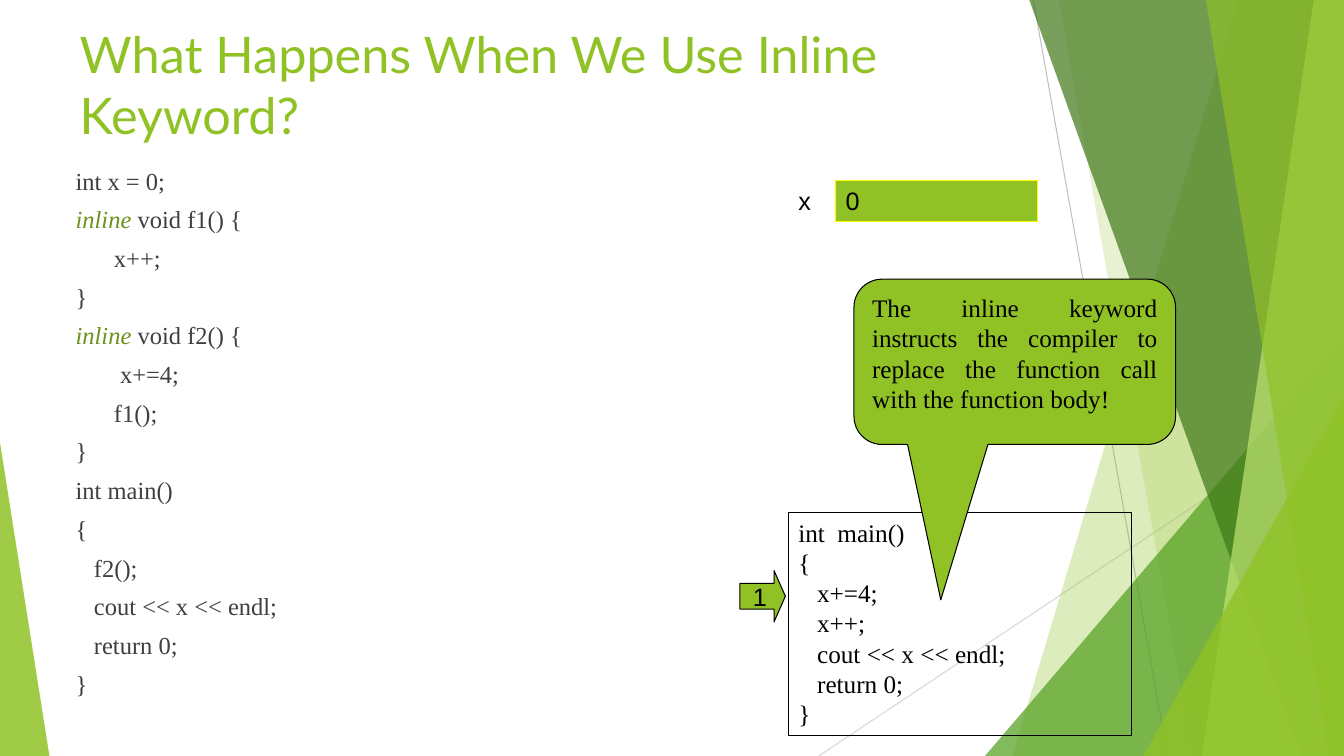
from pptx import Presentation
from pptx.dml.color import RGBColor
from pptx.enum.shapes import MSO_CONNECTOR, MSO_SHAPE
from pptx.enum.text import MSO_ANCHOR, MSO_AUTO_SIZE, PP_ALIGN
from pptx.oxml.ns import qn
from pptx.util import Inches, Pt
from lxml import etree

LEFT, MID, JUST = PP_ALIGN.LEFT, PP_ALIGN.CENTER, PP_ALIGN.JUSTIFY
TOP, CENTER = MSO_ANCHOR.TOP, MSO_ANCHOR.MIDDLE
FIXED = MSO_AUTO_SIZE.NONE
RECT, ARROW = MSO_SHAPE.RECTANGLE, MSO_SHAPE.RIGHT_ARROW
WEDGE = MSO_SHAPE.ROUNDED_RECTANGULAR_CALLOUT
SPIKE = MSO_SHAPE.ISOSCELES_TRIANGLE
STRAIGHT = MSO_CONNECTOR.STRAIGHT

LIME = RGBColor(0x90, 0xC2, 0x26)
LEAF = RGBColor(0x54, 0xA0, 0x21)
MOSS = RGBColor(0x3F, 0x78, 0x18)
PALE = RGBColor(0xBF, 0xE4, 0x71)
OLIVE = RGBColor(0x6C, 0x91, 0x1C)
YELLOW = RGBColor(0xFF, 0xFF, 0x00)
BLACK = RGBColor(0x00, 0x00, 0x00)
GRAY = RGBColor(0x3F, 0x3F, 0x3F)
SILVER = RGBColor(0xBF, 0xBF, 0xBF)
MIST = RGBColor(0xD8, 0xD8, 0xD8)

SANS, SERIF, HEAD = "Arial", "Times New Roman", "Lato"

RAYS = [(76.89, 0, 86.87, 100, SILVER), (100, 53.73, 60.92, 100, MIST)]
BACK = [(92.12, 75.32, LIME, 30), (78.77, 88.75, LIME, 20)]
FRONT = [(76.59, 96.85, MOSS, 70), (97.75, 89.42, PALE, 70),
         (89.72, 98.87, LIME, 65)]

SOURCE = ["int x = 0;", "inline void f1() {", "\tx++;", "}",
          "inline void f2() {", "\t x+=4;", "\tf1();", "}",
          "int main()", "{", "   f2();", "   cout << x << endl;",
          "   return 0;", "}"]
RESULT = ["int  main()", "{", "   x+=4;", "   x++;",
          "   cout << x << endl;", "   return 0;", "}"]
ADVICE = ("The inline keyword instructs the compiler to replace "
          "the function call with the function body!")


class Deck:
    """Draws styled elements on a grid of 100 columns by 100 rows."""

    def __init__(self):
        self.show = Presentation()
        self.show.slide_width = Inches(13.33)
        self.show.slide_height = Inches(7.5)
        self.col = self.show.slide_width / 100
        self.row = self.show.slide_height / 100
        self.page = self.show.slides.add_slide(self.show.slide_layouts[1])
        self.shapes = self.page.shapes

    def grid(self, *spots):
        return [round(spot * (self.row if i % 2 else self.col))
                for i, spot in enumerate(spots)]

    def paint(self, shape, fill=None, line=None, alpha=100):
        shape.shadow.inherit = False
        if fill is None:
            shape.fill.background()
        else:
            shape.fill.solid()
            shape.fill.fore_color.rgb = fill
        if alpha < 100:
            tint = shape._element.spPr.find(".//" + qn("a:srgbClr"))
            etree.SubElement(tint, qn("a:alpha"), val=str(alpha * 1000))
        if line is None:
            shape.line.fill.background()
        else:
            shape.line.color.rgb = line
            shape.line.width = Pt(0.75)

    def ray(self, x1, y1, x2, y2, color):
        ray = self.shapes.add_connector(STRAIGHT, *self.grid(x1, y1, x2, y2))
        ray.line.color.rgb = color
        ray.line.width = Pt(0.75)
        etree.SubElement(ray._element.spPr, qn("a:effectLst"))

    def facet(self, top, base, color, alpha):
        pen = self.shapes.build_freeform(*self.grid(top, 0))
        spots = [(100, 0), (100, 100), (base, 100)]
        pen.add_line_segments([self.grid(*spot) for spot in spots])
        self.paint(pen.convert_to_shape(), color, alpha=alpha)

    def spike(self, left, top, width, tip, color, alpha):
        place = self.grid(left, top, width, 100 - top)
        spike = self.shapes.add_shape(SPIKE, *place)
        spike.adjustments[0] = tip
        self.paint(spike, color, alpha=alpha)

    def text(self, frame, lines, font, size, color, align=LEFT, anchor=TOP):
        frame.word_wrap = True
        frame.auto_size = FIXED
        frame.vertical_anchor = anchor
        for i, line in enumerate(lines):
            para = frame.add_paragraph() if i else frame.paragraphs[0]
            para.alignment = align
            runs = [(line, color)]
            if line.startswith("inline "):
                runs = [("inline", OLIVE), (line[6:], color)]
            for words, tone in runs:
                run = para.add_run()
                run.text = words
                run.font.name = font
                run.font.size = Pt(size)
                run.font.color.rgb = tone
                run.font.italic = tone == OLIVE

    def holder(self, index, spots, lines, font, size, color):
        holder = self.page.placeholders[index]
        self.shapes._spTree.append(holder._element)
        place = self.grid(*spots)
        holder.left, holder.top, holder.width, holder.height = place
        self.text(holder.text_frame, lines, font, size, color)
        return holder.text_frame.paragraphs

    def title(self, spots, text):
        self.holder(0, spots, [text], HEAD, 36, LIME)

    def code(self, spots, lines):
        for i, para in enumerate(self.holder(1, spots, lines, SERIF, 17.5, GRAY)):
            props = para._p.get_or_add_pPr()
            props.set("marL", str(Inches(0.38)))
            props.set("indent", str(Inches(-0.38)))
            etree.SubElement(props, qn("a:buNone"))
            para.line_spacing = 0.84
            para.space_before = Pt(10 if i else 0)

    def label(self, spots, text):
        box = self.shapes.add_textbox(*self.grid(*spots))
        self.text(box.text_frame, [text], SANS, 18, BLACK)

    def box(self, kind, spots, lines, fill, line, font=SERIF, align=LEFT,
            anchor=TOP, bends=()):
        box = self.shapes.add_shape(kind, *self.grid(*spots))
        for i, bend in enumerate(bends):
            box.adjustments[i] = bend
        self.paint(box, fill, line)
        self.text(box.text_frame, lines, font, 18, BLACK, align, anchor)


def main():
    deck = Deck()
    for ray in RAYS:
        deck.ray(*ray)
    for facet in BACK:
        deck.facet(*facet)
    deck.spike(73.29, 44.4, 26.71, 1, LEAF, 72)
    for facet in FRONT:
        deck.facet(*facet)
    deck.spike(85.07, 52.4, 14.93, 1, LIME, 80)
    deck.spike(0, 58.53, 3.68, 0, LIME, 85)

    deck.title((5.18, 2.4, 72.17, 16.67),
               "What Happens When We Use Inline Keyword?")
    deck.box(RECT, (62.19, 23.87, 15, 5.47), ["0"], LIME, YELLOW, SANS)
    deck.label((58.66, 23.87, 2.7, 5.33), "x")
    deck.box(RECT, (58.66, 67.73, 25.5, 29.6), RESULT, None, BLACK)
    deck.box(ARROW, (55.06, 75.47, 3.38, 6.8), ["1"], LIME, BLACK, SANS,
             MID, CENTER, (0.5, 0.25))
    deck.box(WEDGE, (63.54, 36.93, 23.93, 21.87), [ADVICE], LIME, BLACK,
             align=JUST, bends=(-0.23, 1.44, 0.17))
    deck.code((4.88, 21.87, 47.94, 71.33), SOURCE)
    deck.show.save("out.pptx")


if __name__ == "__main__":
    main()
